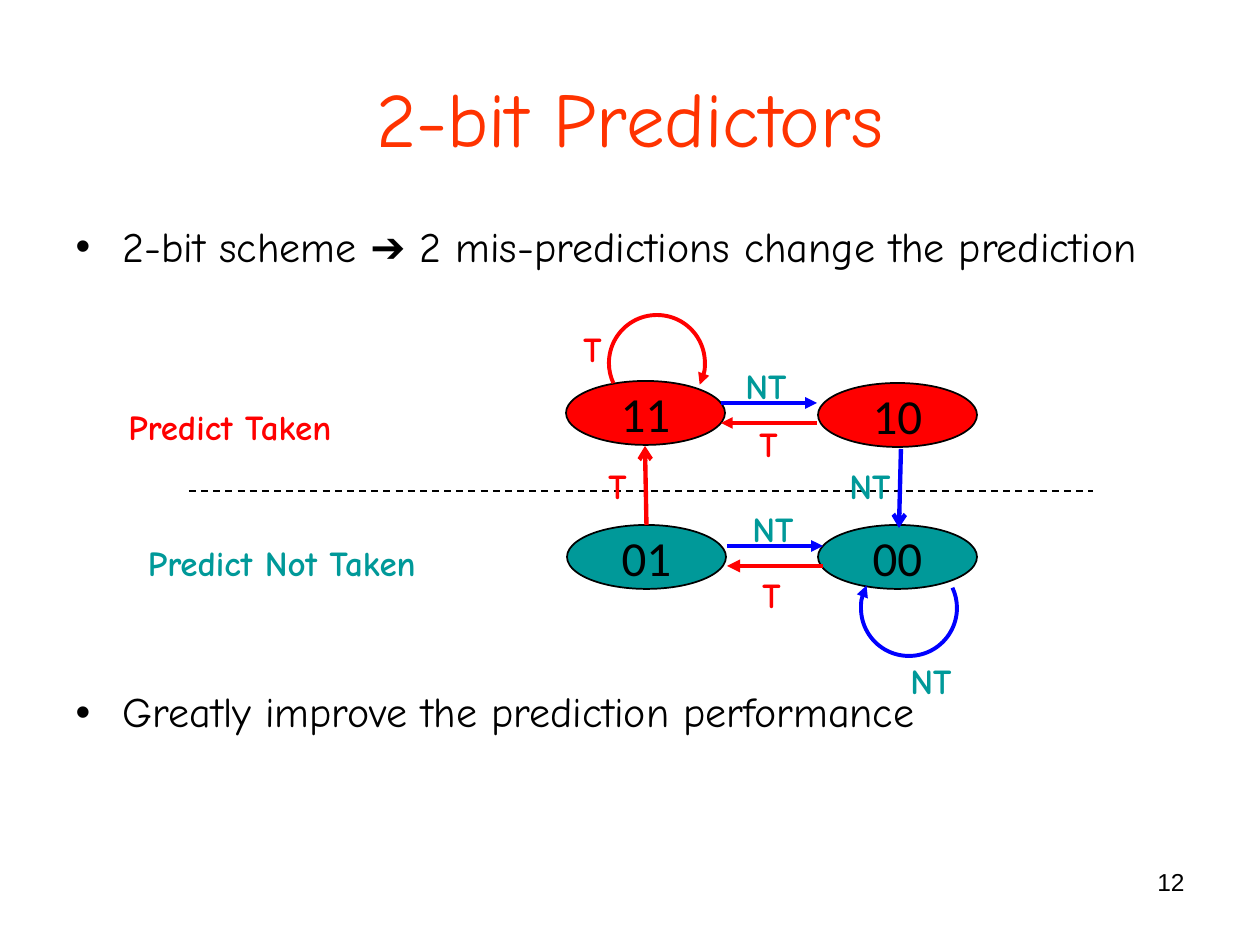
from dataclasses import dataclass

from lxml.etree import SubElement
from pptx import Presentation
from pptx.dml.color import RGBColor as RGB
from pptx.enum.dml import MSO_LINE as DASH
from pptx.enum.shapes import MSO_CONNECTOR as CONN, MSO_SHAPE as SHAPE
from pptx.enum.text import MSO_ANCHOR as ANCHOR, MSO_AUTO_SIZE as FIT, PP_ALIGN as ALIGN
from pptx.oxml.ns import qn
from pptx.util import Emu, Pt

PX = 914400 // 126


@dataclass(frozen=True)
class Theme:
    title: RGB = RGB(0xFF, 0x33, 0x00)
    ink: RGB = RGB(0, 0, 0)
    taken: RGB = RGB(0xFF, 0, 0)
    not_taken: RGB = RGB(0, 0x99, 0x99)
    not_taken_arrow: RGB = RGB(0, 0, 0xFF)
    font: str = "Comic Neue"
    state_font: str = "Calibri"
    plain_font: str = "Arial"
    title_size: int = 44
    state_size: int = 28
    body_size: int = 24
    label_size: int = 20
    number_size: int = 14


T = Theme()


def px(*values):
    return [Emu(v * PX) for v in values]


def apply(obj, formats):
    for name, value in formats.items():
        setattr(obj, name, value)


def add_run(p, text, size, color, font=T.font, bold=False):
    r = p.add_run()
    r.text = text
    apply(r.font, {"size": Pt(size), "name": font, "bold": bold})
    r.font.color.rgb = color


def place(sp, left, top, width, height):
    apply(sp, dict(zip(("left", "top", "width", "height"), px(left, top, width, height))))


def style_line(line, color, width, head=None):
    line.color.rgb = color
    line.width = Pt(width)
    if head:
        SubElement(line._get_or_add_ln(), qn("a:tailEnd"), type=head)


def add_title(slide, text):
    sp = slide.shapes.title
    place(sp, 63, 38, 1134, 157)
    apply(sp.text_frame, {"vertical_anchor": ANCHOR.MIDDLE, "auto_size": FIT.NONE})
    p = sp.text_frame.paragraphs[0]
    p.alignment = ALIGN.CENTER
    add_run(p, text, T.title_size, T.title)


def add_bullets(slide, items):
    sp = slide.placeholders[1]
    place(sp, 63, 220, 1134, 624)
    tf = sp.text_frame
    tf.auto_size = FIT.NONE
    for i, (space, runs) in enumerate(items):
        p = tf.add_paragraph() if i else tf.paragraphs[0]
        apply(p, {"line_spacing": 0.9, "space_before": Pt(space)})
        pPr = p._p.get_or_add_pPr()
        indent = px(47)[0]
        pPr.set("marL", str(indent))
        pPr.set("indent", str(-indent))
        SubElement(pPr, qn("a:buFont"), typeface=T.plain_font)
        SubElement(pPr, qn("a:buChar"), char="•")
        for text, font in runs:
            add_run(p, text, T.body_size, T.ink, font)


def add_text(slide, text, box, color, size=T.label_size, font=T.font,
             bold=True, align=ALIGN.LEFT, wrap=False):
    tf = slide.shapes.add_textbox(*px(*box)).text_frame
    tf.word_wrap = wrap
    p = tf.paragraphs[0]
    p.alignment = align
    add_run(p, text, size, color, font, bold)


def add_state(slide, name, left, top, color):
    sp = slide.shapes.add_shape(SHAPE.OVAL, *px(left, top, 159, 64))
    sp.shadow.inherit = False
    sp.fill.solid()
    sp.fill.fore_color.rgb = color
    style_line(sp.line, T.ink, 1)
    tf = sp.text_frame
    apply(tf, {"word_wrap": False, "vertical_anchor": ANCHOR.MIDDLE})
    p = tf.paragraphs[0]
    p.alignment = ALIGN.CENTER
    add_run(p, name, T.state_size, T.ink, T.state_font)
    return sp


def add_line(slide, ends, color, width, head=None):
    c = slide.shapes.add_connector(CONN.STRAIGHT, *px(*ends))
    SubElement(c._element.spPr, qn("a:effectLst"))
    style_line(c.line, color, width, head)
    return c


def add_self_loop(slide, left, top, start, end, color):
    sp = slide.shapes.add_shape(SHAPE.ARC, *px(left, top, 96, 96))
    sp.shadow.inherit = False
    sp.fill.background()
    for i, degrees in enumerate((start, end)):
        sp.adjustments[i] = degrees * 0.6
    style_line(sp.line, color, 2.25, "triangle")


def add_state_diagram(slide):
    add_text(slide, "Predict Taken", (116, 399, 278, 54), T.taken, wrap=True)
    add_text(slide, "Predict Not Taken", (94, 535, 376, 54), T.not_taken,
             align=ALIGN.CENTER, wrap=True)
    boundary = add_line(slide, (189, 491, 1093, 491), T.ink, 1)
    boundary.line.dash_style = DASH.DASH

    states = {name: add_state(slide, name, left, top, color)
              for name, left, top, color in (
                  ("11", 566, 381, T.taken), ("10", 818, 383, T.taken),
                  ("01", 567, 525, T.not_taken), ("00", 818, 525, T.not_taken))}

    add_self_loop(slide, 609, 315, 155, 27, T.taken)
    add_self_loop(slide, 861, 560, 335, 208, T.not_taken_arrow)

    for left, top, back_width in ((721, 403, 2.25), (727, 546, 2.5)):
        right = left + 96
        add_line(slide, (left, top, right, top), T.not_taken_arrow, 2.25, "triangle")
        add_line(slide, (right, top + 20, left, top + 20), T.taken, back_width, "triangle")
    rise = add_line(slide, (647, 525, 645, 446), T.taken, 2.5, "arrow")
    rise.begin_connect(states["01"], 0)
    add_line(slide, (901, 449, 899, 528), T.not_taken_arrow, 2.5, "arrow")

    for left, top in ((596, 458), (571, 321), (750, 567), (747, 416)):
        add_text(slide, "T", (left, top, 43, 54), T.taken)
    for left, top in ((898, 653), (740, 501), (733, 358), (837, 458)):
        add_text(slide, "NT", (left, top, 67, 54), T.not_taken)


def main():
    prs = Presentation()
    apply(prs, dict(zip(("slide_width", "slide_height"), px(1260, 945))))
    slide = prs.slides.add_slide(prs.slide_layouts[1])
    add_title(slide, "2-bit Predictors")
    add_bullets(slide, (
        (6, (("2-bit scheme ", T.font), ("➔", T.plain_font),
             (" 2 mis-predictions change the prediction", T.font))),
        (240, (("Greatly improve the prediction performance", T.font),))))
    add_text(slide, "12", (903, 861, 294, 66), T.ink, T.number_size, T.plain_font,
             bold=False, align=ALIGN.RIGHT, wrap=True)
    add_state_diagram(slide)
    prs.save("out.pptx")


if __name__ == "__main__":
    main()
